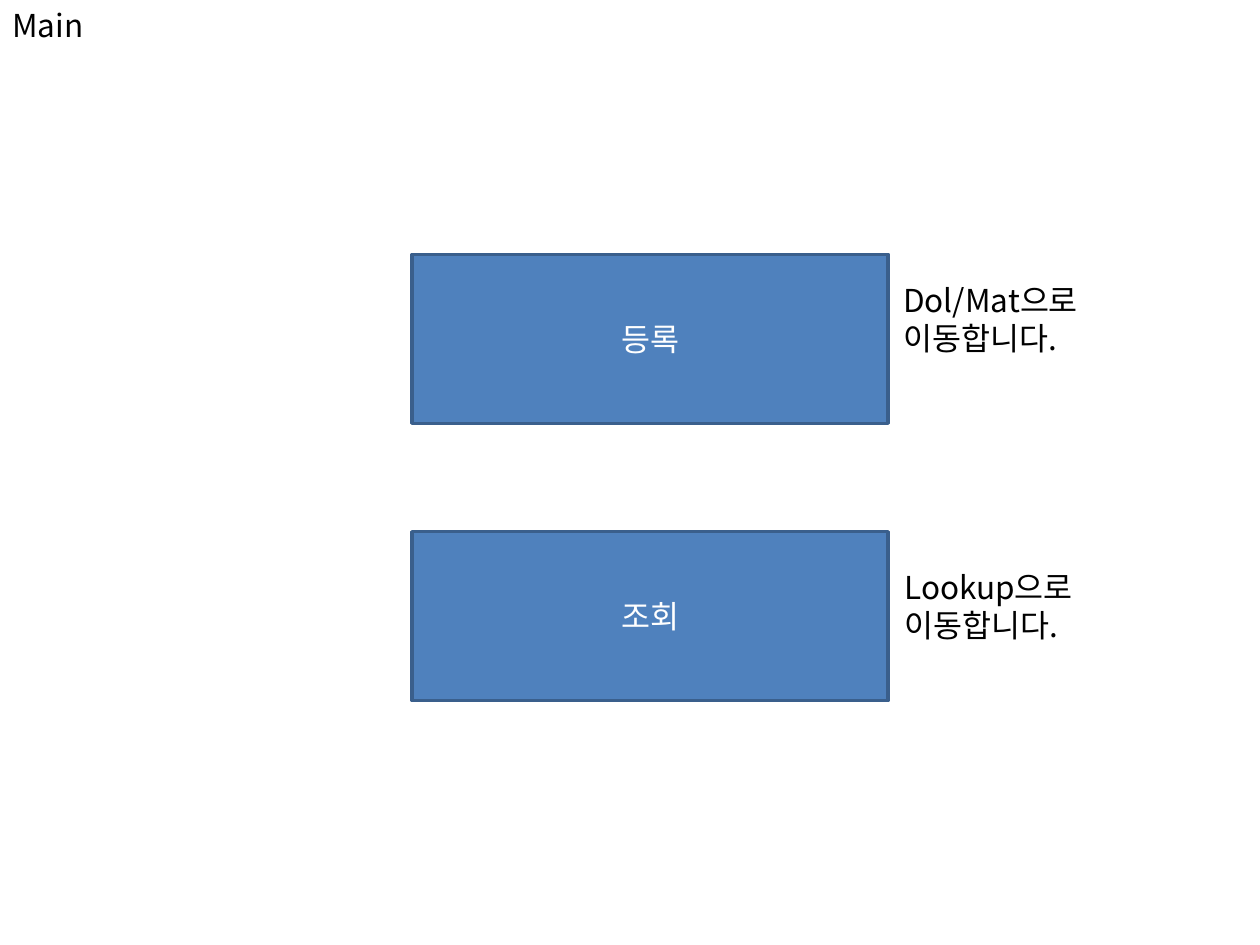
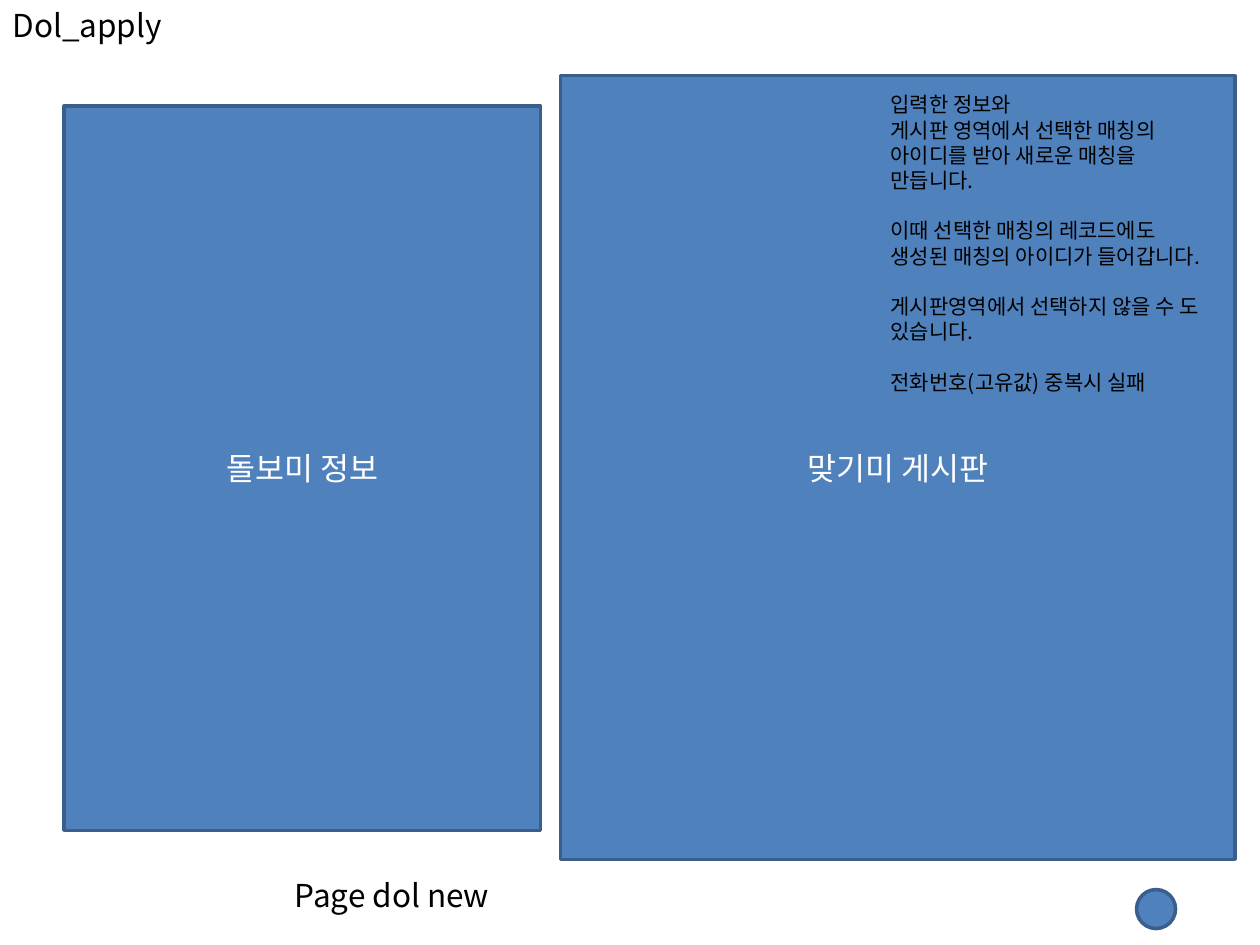
from dataclasses import dataclass

from lxml.etree import SubElement
from pptx import Presentation
from pptx.dml.color import RGBColor
from pptx.enum.shapes import MSO_SHAPE
from pptx.enum.text import MSO_ANCHOR, MSO_AUTO_SIZE, PP_ALIGN
from pptx.oxml.ns import qn
from pptx.util import Inches, Pt


@dataclass(frozen=True)
class Theme:
    panel: RGBColor = RGBColor(0x4F, 0x81, 0xBD)
    border: RGBColor = RGBColor(0x3A, 0x5F, 0x8C)
    ink: RGBColor = RGBColor(0, 0, 0)
    label: RGBColor = RGBColor(255, 255, 255)
    font: str = "Noto Sans CJK KR"
    body: Pt = Pt(18)
    small: Pt = Pt(12)
    border_width: Pt = Pt(2)
    paragraph_gap: Pt = Pt(14.4)


THEME = Theme()

# Grid of 100 columns by 75 rows
WIDTH, HEIGHT = Inches(10), Inches(7.5)
COLUMN, ROW = WIDTH / 100, HEIGHT / 75

PANEL_FRAME = {"vertical_anchor": MSO_ANCHOR.MIDDLE, "word_wrap": True}
NOTE_FRAME = {"vertical_anchor": MSO_ANCHOR.TOP, "word_wrap": True,
              "auto_size": MSO_AUTO_SIZE.SHAPE_TO_FIT_TEXT}


def apply_format(target, values):
    for name, value in values.items():
        setattr(target, name, value)


def place(column, row, columns, rows):
    return (round(column * COLUMN), round(row * ROW),
            round(columns * COLUMN), round(rows * ROW))


def write(paragraph, text, size, color, align):
    paragraph.alignment = align
    run = paragraph.add_run()
    run.text = text
    apply_format(run.font, {"name": THEME.font, "size": size})
    run.font.color.rgb = color
    east_asian = SubElement(run.font._element, qn("a:ea"))
    east_asian.set("typeface", THEME.font)


def add_panel(slide, cell, label=None, outline=MSO_SHAPE.RECTANGLE):
    panel = slide.shapes.add_shape(outline, *place(*cell))
    panel.shadow.inherit = False
    panel.fill.solid()
    panel.fill.fore_color.rgb = THEME.panel
    panel.line.color.rgb = THEME.border
    panel.line.width = THEME.border_width
    if label:
        apply_format(panel.text_frame, PANEL_FRAME)
        write(panel.text_frame.paragraphs[0], label, THEME.body,
              THEME.label, PP_ALIGN.CENTER)


def add_note(slide, cell, blocks, size=THEME.body):
    """Each block is a list of paragraphs; a gap separates the blocks."""
    frame = slide.shapes.add_textbox(*place(*cell)).text_frame
    apply_format(frame, NOTE_FRAME)
    paragraph = frame.paragraphs[0]
    for block_index, block in enumerate(blocks):
        for line_index, text in enumerate(block):
            if block_index or line_index:
                paragraph = frame.add_paragraph()
            if block_index and not line_index:
                paragraph.space_before = THEME.paragraph_gap
            write(paragraph, text, size, THEME.ink, PP_ALIGN.LEFT)


def add_page(deck, title, title_columns):
    slide = deck.slides.add_slide(deck.slide_layouts[6])
    add_note(slide, (0, 0, title_columns, 4), [[title]])
    return slide


def build_main_page(deck):
    slide = add_page(deck, "Main", 9.8)
    # Menu buttons, each with its destination beside it
    menu = [("등록", "Dol/Mat으로 이동합니다.", 70.7, 21.8),
            ("조회", "Lookup으로 이동합니다.", 70.8, 44.6)]
    for index, (label, destination, column, row) in enumerate(menu):
        add_panel(slide, (32.7, 20.2 + 22 * index, 37.8, 13.4), label)
        add_note(slide, (column, row, 18.5, 7.1), [[destination]])


def build_apply_page(deck):
    slide = add_page(deck, "Dol_apply", 18.5)
    # Information form and board
    add_panel(slide, (5.1, 8.4, 37.8, 57.5), "돌보미 정보")
    add_panel(slide, (44.5, 6, 53.5, 62.2), "맞기미 게시판")
    # Page caption and submit button
    add_note(slide, (22.4, 69, 28, 4), [["Page dol new"]])
    add_panel(slide, (90.2, 70.6, 3.1, 3.1), outline=MSO_SHAPE.OVAL)
    # Matching rules
    rules = [
        ["입력한 정보와",
         "게시판 영역에서 선택한 매칭의 아이디를 받아 새로운 매칭을 만듭니다."],
        ["이때 선택한 매칭의 레코드에도 생성된 매칭의 아이디가 들어갑니다."],
        ["게시판영역에서 선택하지 않을 수 도 있습니다."],
        ["전화번호(고유값) 중복시 실패"],
    ]
    add_note(slide, (69.7, 6.8, 26.8, 27.3), rules, THEME.small)


def main():
    deck = Presentation()
    apply_format(deck, {"slide_width": WIDTH, "slide_height": HEIGHT})
    build_main_page(deck)
    build_apply_page(deck)
    deck.save("out.pptx")


if __name__ == "__main__":
    main()
